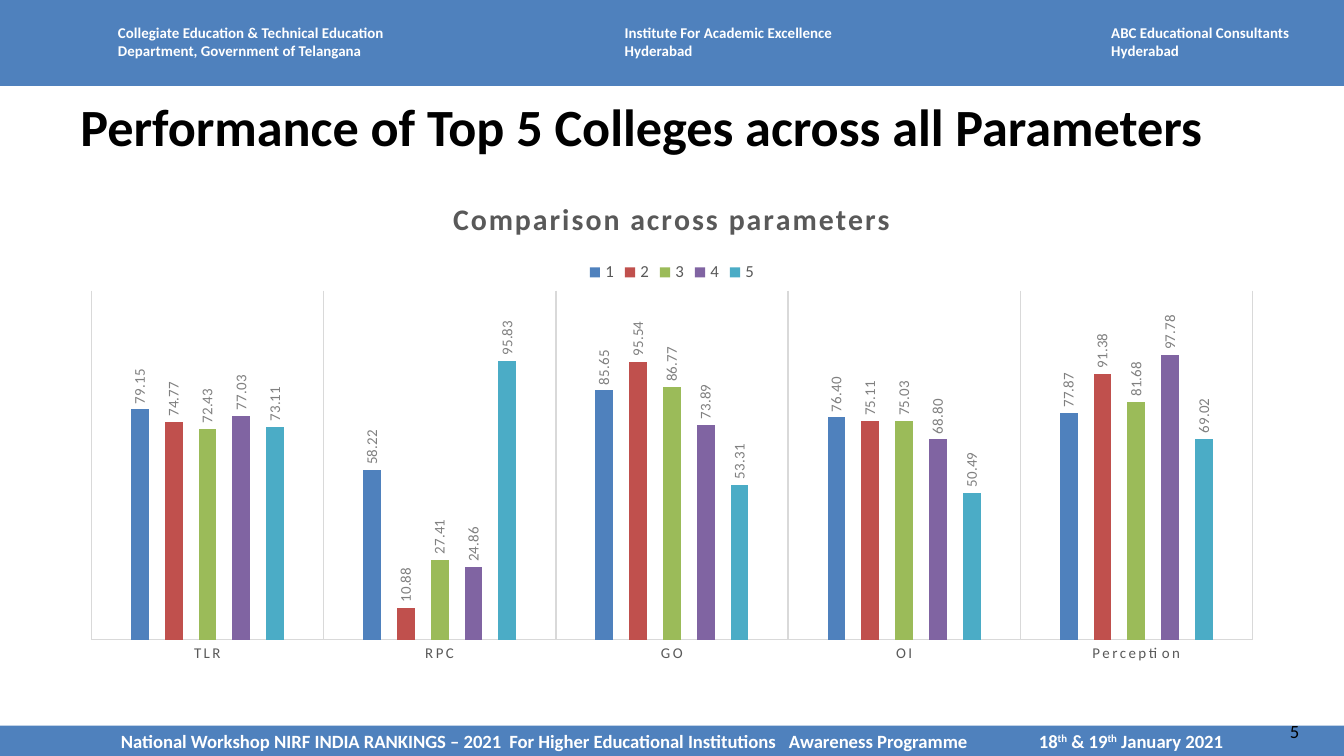
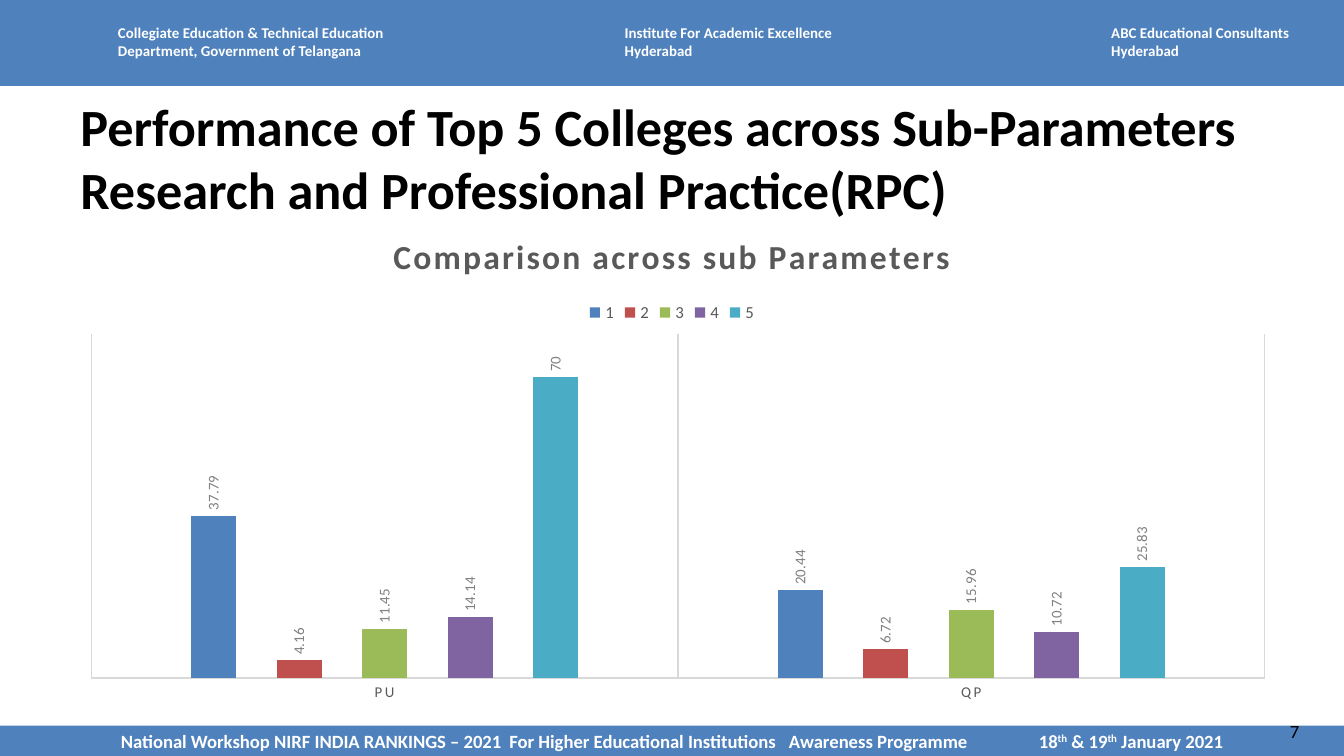
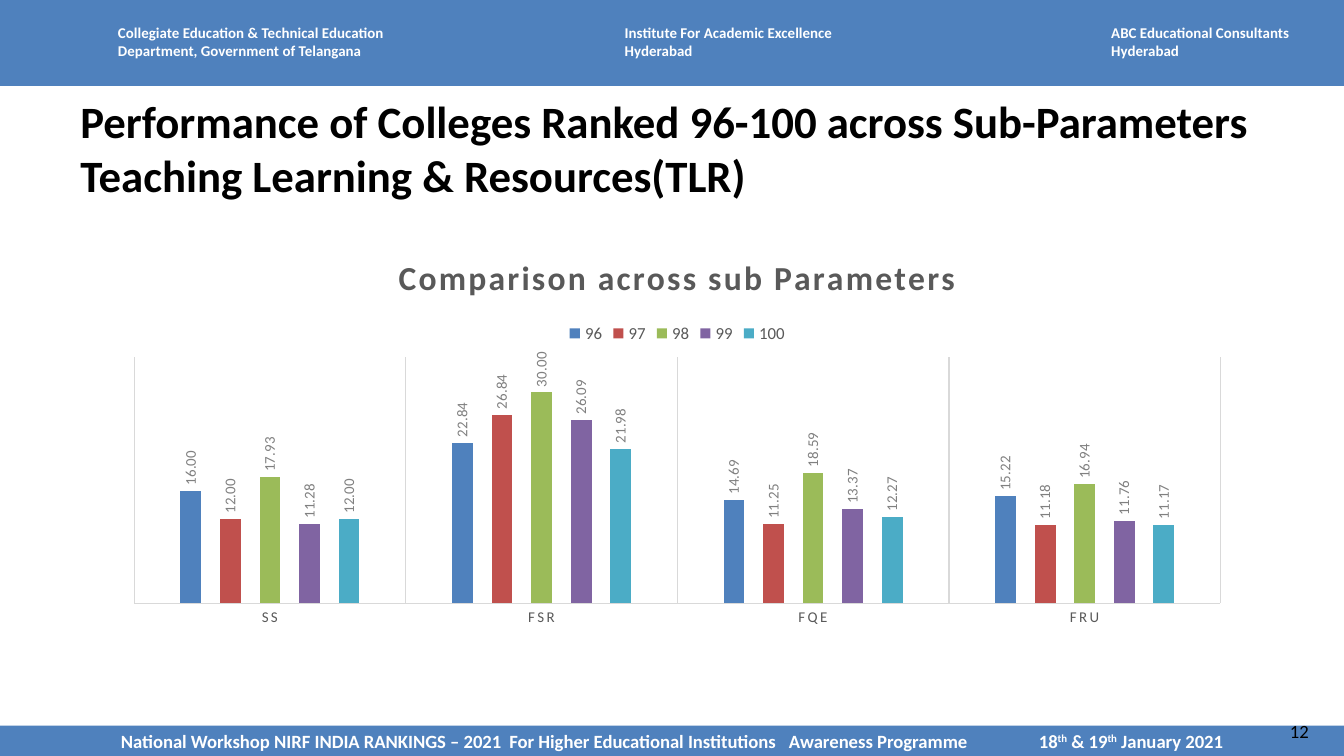
from lxml.etree import SubElement
from pptx import Presentation
from pptx.chart.data import CategoryChartData
from pptx.dml.color import RGBColor
from pptx.enum.chart import XL_CHART_TYPE, XL_LABEL_POSITION, XL_LEGEND_POSITION, XL_TICK_MARK
from pptx.enum.shapes import MSO_SHAPE
from pptx.enum.text import MSO_ANCHOR, PP_ALIGN
from pptx.oxml.ns import qn
from pptx.util import Inches, Pt

SLIDE_WIDTH = Inches(10)
SLIDE_HEIGHT = SLIDE_WIDTH * 9 // 16
COLORS = {
    "band": "4F81BD",
    "white": "FFFFFF",
    "black": "000000",
    "chart_text": "595959",
    "label": "808080",
    "grid": "D9D9D9",
}
SERIES_COLORS = ["4F81BD", "C0504D", "9BBB59", "8064A2", "4BACC6"]
HEADERS = [
    (0.78, 2.26, ["Collegiate Education & Technical Education", "Department, Government of Telangana"]),
    (4.55, 1.76, ["Institute For Academic Excellence", "Hyderabad"]),
    (8.17, 1.67, ["ABC Educational Consultants", "Hyderabad"]),
]
FOOTER_LEFT = 0.9
FOOTER_TABS = [2.89, 4.97, 6.83]
FOOTER_RUNS = [
    ("National Workshop NIRF INDIA RANKINGS – 2021\tFor Higher Educational Institutions"
     "\tAwareness Programme\t18", False),
    ("th", True),
    (" & 19", False),
    ("th", True),
    (" January 2021", False),
]

SLIDES = [
    {
        "number": "5",
        "title": "Performance of Top 5 Colleges across all Parameters",
        "title_size": 28,
        "chart": {
            "box": (0.5, 1.31, 9, 3.71),
            "plot": (0.02, 0.23, 0.96, 0.7),
            "title": "Comparison across parameters",
            "title_size": 16,
            "maximum": 120,
            "number_format": "0.00",
            "categories": ["TLR", "RPC", "GO", "OI", "Perception"],
            "series": {
                "1": [79.15, 58.22, 85.65, 76.4, 77.87],
                "2": [74.77, 10.88, 95.54, 75.11, 91.38],
                "3": [72.43, 27.41, 86.77, 75.03, 81.68],
                "4": [77.03, 24.86, 73.89, 68.8, 97.78],
                "5": [73.11, 95.83, 53.31, 50.49, 69.02],
            },
        },
    },
    {
        "number": "7",
        "title": "Performance of Top 5 Colleges across Sub-Parameters "
                 "Research and Professional Practice(RPC)",
        "title_size": 28,
        "chart": {
            "box": (0.5, 1.56, 9, 3.71),
            "plot": (0.02, 0.25, 0.97, 0.69),
            "title": "Comparison across sub Parameters",
            "title_size": 18,
            "maximum": 80,
            "number_format": "General",
            "categories": ["PU", "QP"],
            "series": {
                "1": [37.79, 20.44],
                "2": [4.16, 6.72],
                "3": [11.45, 15.96],
                "4": [14.14, 10.72],
                "5": [70, 25.83],
            },
        },
    },
    {
        "number": "12",
        "title": "Performance of Colleges Ranked 96-100 across Sub-Parameters "
                 "Teaching Learning & Resources(TLR)",
        "title_size": 24,
        "chart": {
            "box": (0.83, 1.73, 8.42, 3),
            "plot": (0.02, 0.31, 0.96, 0.61),
            "title": "Comparison across sub Parameters",
            "title_size": 18,
            "maximum": 35,
            "number_format": "0.00",
            "categories": ["SS", "FSR", "FQE", "FRU"],
            "series": {
                "96": [16, 22.84, 14.69, 15.22],
                "97": [12, 26.84, 11.25, 11.18],
                "98": [17.93, 30, 18.59, 16.94],
                "99": [11.28, 26.09, 13.37, 11.76],
                "100": [12, 21.98, 12.27, 11.17],
            },
        },
    },
]


def set_values(target, values):
    for name, value in values.items():
        setattr(target, name, value)


def rgb(color):
    return RGBColor.from_string(COLORS.get(color, color))


class Deck:
    """Holds the presentation, its type style and the slide being built."""

    font_name = "Calibri"

    def __init__(self):
        self.presentation = Presentation()
        set_values(self.presentation, {"slide_width": SLIDE_WIDTH, "slide_height": SLIDE_HEIGHT})
        self.slide = None

    def new_slide(self):
        self.slide = self.presentation.slides.add_slide(self.presentation.slide_layouts[6])

    def style_font(self, font, size, color, bold=False, **attributes):
        """Format a font; extra attributes go to its XML, as spc or baseline."""
        set_values(font, {"name": self.font_name, "size": Pt(size), "bold": bold})
        font.color.rgb = rgb(color)
        for name, value in attributes.items():
            font._rPr.set(name, str(value))

    def text(self, box, lines, size, color, bold=False):
        frame = self.slide.shapes.add_textbox(*map(Inches, box)).text_frame
        frame.word_wrap = True
        for index, line in enumerate(lines):
            paragraph = frame.add_paragraph() if index else frame.paragraphs[0]
            run = paragraph.add_run()
            run.text = line
            self.style_font(run.font, size, color, bold)

    def band(self, top, height):
        shape = self.slide.shapes.add_shape(
            MSO_SHAPE.RECTANGLE, 0, Inches(top), SLIDE_WIDTH, Inches(height))
        shape.shadow.inherit = False
        shape.fill.solid()
        shape.fill.fore_color.rgb = rgb("band")
        shape.line.fill.background()
        return shape

    def header(self):
        self.band(0, 0.64)
        for left, width, lines in HEADERS:
            self.text((left, 0.13, width, 0.37), lines, 8, "white", bold=True)

    def footer(self, number):
        frame = self.band(5.4, 0.23).text_frame
        set_values(frame, {
            "margin_left": Inches(FOOTER_LEFT), "margin_right": 0,
            "margin_top": 0, "margin_bottom": 0,
            "vertical_anchor": MSO_ANCHOR.MIDDLE, "word_wrap": True,
        })
        paragraph = frame.paragraphs[0]
        paragraph.alignment = PP_ALIGN.LEFT
        tabs = SubElement(paragraph._p.get_or_add_pPr(), qn("a:tabLst"))
        for position in FOOTER_TABS:
            SubElement(tabs, qn("a:tab"), pos=str(Inches(position)), algn="l")
        for words, raised in FOOTER_RUNS:
            run = paragraph.add_run()
            run.text = words
            self.style_font(run.font, 10, "white", bold=True, baseline=30000 if raised else 0)
        self.text((9.5, 5.31, 0.5, 0.27), [number], 10, "black")

    def title(self, words, size):
        self.text((0.5, 0.65, 9, 0.52), [words], size, "black", bold=True)

    def column_chart(self, content):
        data = CategoryChartData(number_format=content["number_format"])
        data.categories = content["categories"]
        for name, values in content["series"].items():
            data.add_series(name, values)
        chart = self.slide.shapes.add_chart(
            XL_CHART_TYPE.COLUMN_CLUSTERED, *map(Inches, content["box"]), data).chart
        self.style_font(chart.font, 10, "black")
        self.chart_title(chart, content["title"], content["title_size"])
        self.chart_legend(chart)
        self.chart_axes(chart, content["maximum"])
        self.chart_columns(chart.plots[0], content["number_format"])
        self.place_plot(chart, content["plot"])

    def chart_title(self, chart, words, size):
        chart.has_title = True
        run = chart.chart_title.text_frame.paragraphs[0].add_run()
        run.text = words
        self.style_font(run.font, size, "chart_text", bold=True, spc=120)

    def chart_legend(self, chart):
        chart.has_legend = True
        set_values(chart.legend, {"position": XL_LEGEND_POSITION.TOP, "include_in_layout": False})
        self.style_font(chart.legend.font, 9, "chart_text")

    def chart_axes(self, chart, maximum):
        set_values(chart.value_axis, {
            "visible": False, "has_major_gridlines": False,
            "minimum_scale": 0, "maximum_scale": maximum,
        })
        axis = chart.category_axis
        set_values(axis, {
            "has_major_gridlines": True,
            "major_tick_mark": XL_TICK_MARK.NONE, "minor_tick_mark": XL_TICK_MARK.NONE,
        })
        self.style_font(axis.tick_labels.font, 8, "chart_text", spc=120)
        for line in (axis.format.line, axis.major_gridlines.format.line):
            line.color.rgb = rgb("grid")
            line.width = Pt(0.75)

    def chart_columns(self, plot, number_format):
        set_values(plot, {"gap_width": 444, "overlap": -90, "vary_by_categories": False})
        for series, color in zip(plot.series, SERIES_COLORS):
            series.format.fill.solid()
            series.format.fill.fore_color.rgb = rgb(color)
            labels = series.data_labels
            set_values(labels, {
                "show_value": True, "position": XL_LABEL_POSITION.OUTSIDE_END,
                "number_format": number_format, "number_format_is_linked": False,
            })
            self.style_font(labels.font, 8, "label")
            body = labels._element.find(".//" + qn("a:bodyPr"))
            body.set("rot", "-5400000")
            body.set("vert", "horz")

    def place_plot(self, chart, fractions):
        """Fix the inner plot area as left, top, width and height fractions."""
        area = chart._chartSpace.chart.plotArea
        layout = area.find(qn("c:layout"))
        if layout is None:
            layout = SubElement(area, qn("c:layout"))
            area.insert(0, layout)
        manual = SubElement(layout, qn("c:manualLayout"))
        settings = [("layoutTarget", "inner"), ("xMode", "edge"), ("yMode", "edge")]
        for name, value in settings + list(zip("xywh", fractions)):
            SubElement(manual, qn("c:" + name), val=str(value))


def main():
    deck = Deck()
    for content in SLIDES:
        deck.new_slide()
        deck.header()
        deck.footer(content["number"])
        deck.title(content["title"], content["title_size"])
        deck.column_chart(content["chart"])
    deck.presentation.save("out.pptx")


if __name__ == "__main__":
    main()
